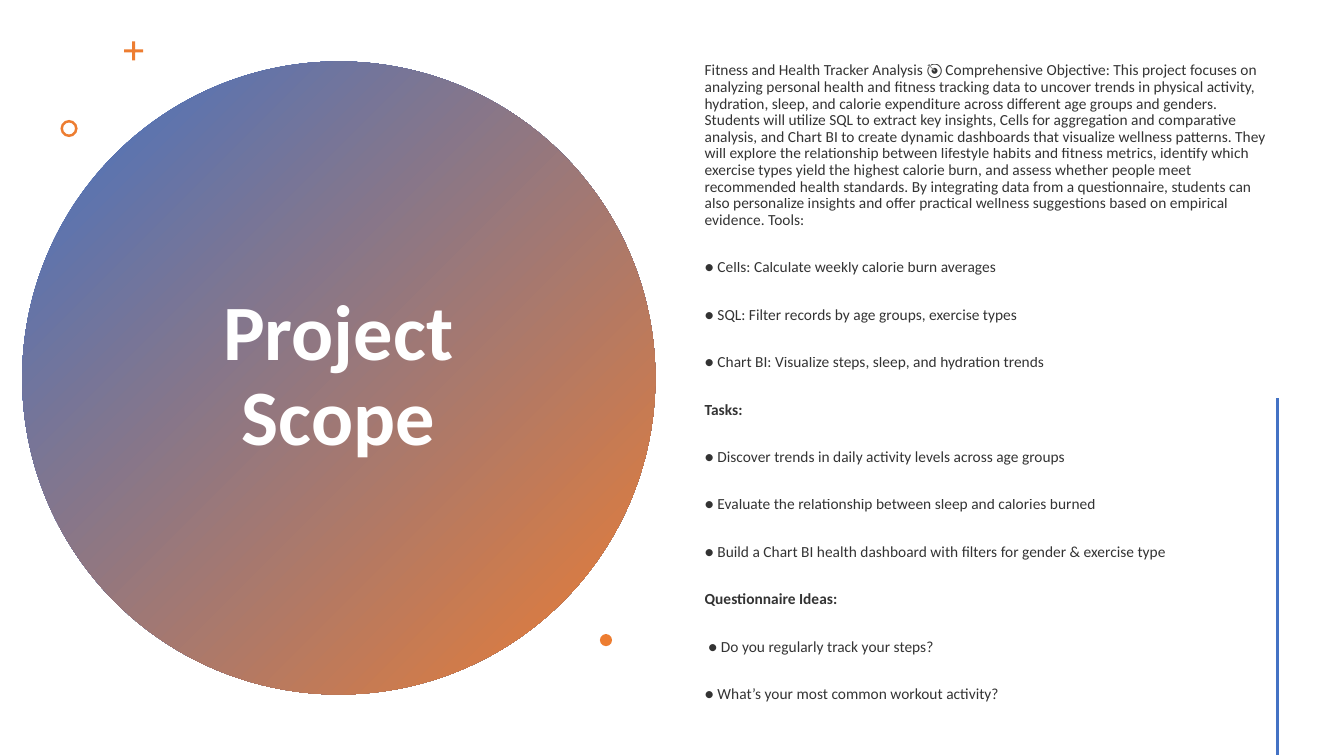
"""Build the Project Scope slide."""
from lxml.etree import SubElement
from pptx import Presentation
from pptx.dml.color import RGBColor
from pptx.enum.shapes import MSO_CONNECTOR, MSO_SHAPE
from pptx.enum.text import MSO_ANCHOR, PP_ALIGN
from pptx.oxml.ns import qn
from pptx.util import Inches, Pt

COLORS = {"blue": "4472C4", "orange": "ED7D31", "white": "FFFFFF", "black": "000000"}
FONT = "Calibri"
HEADINGS = ("Tasks:", "Questionnaire Ideas:")
SCOPE = [
    "Fitness and Health Tracker Analysis 🎯 Comprehensive Objective: This project focuses on "
    "analyzing personal health and fitness tracking data to uncover trends in physical activity, "
    "hydration, sleep, and calorie expenditure across different age groups and genders. Students "
    "will utilize SQL to extract key insights, Cells for aggregation and comparative analysis, and "
    "Chart BI to create dynamic dashboards that visualize wellness patterns. They will explore the "
    "relationship between lifestyle habits and fitness metrics, identify which exercise types "
    "yield the highest calorie burn, and assess whether people meet recommended health standards. "
    "By integrating data from a questionnaire, students can also personalize insights and offer "
    "practical wellness suggestions based on empirical evidence. Tools:",
    "● Cells: Calculate weekly calorie burn averages",
    "● SQL: Filter records by age groups, exercise types",
    "● Chart BI: Visualize steps, sleep, and hydration trends",
    "Tasks:",
    "● Discover trends in daily activity levels across age groups",
    "● Evaluate the relationship between sleep and calories burned",
    "● Build a Chart BI health dashboard with filters for gender & exercise type",
    "Questionnaire Ideas:",
    " ● Do you regularly track your steps?",
    "● What’s your most common workout activity?",
]
ACCENTS = [
    (MSO_SHAPE.CROSS, 1.23, 0.41, 0.19, 0.42),
    (MSO_SHAPE.DONUT, 0.6, 1.19, 0.17, 0.15),
    (MSO_SHAPE.OVAL, 5.95, 6.29, 0.12, None),
]


def color(name):
    return RGBColor.from_string(COLORS[name])


def add_plain_shape(page, kind, left, top, size):
    shape = page.shapes.add_shape(kind, Inches(left), Inches(top), Inches(size), Inches(size))
    shape.shadow.inherit = False
    shape.line.fill.background()
    return shape


deck = Presentation()
deck.slide_width, deck.slide_height = Inches(13.33), Inches(7.5)
page = deck.slides.add_slide(deck.slide_layouts[5])

circle = add_plain_shape(page, MSO_SHAPE.OVAL, 0.22, 0.61, 6.28)
circle.fill.gradient()
circle.fill.gradient_angle = 315
for stop, name, position in zip(circle.fill.gradient_stops, ("blue", "orange"), (0, 1)):
    stop.color.rgb = color(name)
    stop.position = position

title = page.shapes.title
circle.element.addnext(title.element)
title.left, title.top, title.width, title.height = map(Inches, (1.36, 1.41, 3.99, 4.67))
title.text_frame.text = "Project Scope"
title.text_frame.word_wrap = True
title.text_frame.vertical_anchor = MSO_ANCHOR.MIDDLE
para = title.text_frame.paragraphs[0]
para.alignment = PP_ALIGN.CENTER
para.line_spacing = 0.9
font = para.runs[0].font
font.name, font.size, font.bold = FONT, Pt(56), True
font.color.rgb = color("white")

for kind, left, top, size, adjustment in ACCENTS:
    accent = add_plain_shape(page, kind, left, top, size)
    accent.fill.solid()
    accent.fill.fore_color.rgb = color("orange")
    if adjustment:
        accent.adjustments[0] = adjustment

box = page.shapes.add_textbox(Inches(6.89), Inches(0.57), Inches(5.78), Inches(6.71))
frame = box.text_frame
frame.word_wrap = True
frame.vertical_anchor = MSO_ANCHOR.TOP
frame.text = "\n".join(SCOPE)
for para in frame.paragraphs:
    para.line_spacing = 0.9
    para.space_before, para.space_after = Pt(10), Pt(12)
    font = para.runs[0].font
    font.name, font.size = FONT, Pt(11)
    font.bold = para.text in HEADINGS
    font.color.rgb = color("black")
    tint = para.runs[0].font.fill.fore_color and para.runs[0]._r.find(".//" + qn("a:srgbClr"))
    SubElement(tint, qn("a:alpha"), val="80000")
frame.paragraphs[0].space_before = Pt(2)

rule = page.shapes.add_connector(
    MSO_CONNECTOR.STRAIGHT, Inches(12.67), Inches(3.95), Inches(12.67), Inches(7.49))
rule.line.color.rgb = color("blue")
rule.line.width = Pt(2)
SubElement(rule.element.spPr, qn("a:effectLst"))

deck.save("out.pptx")
